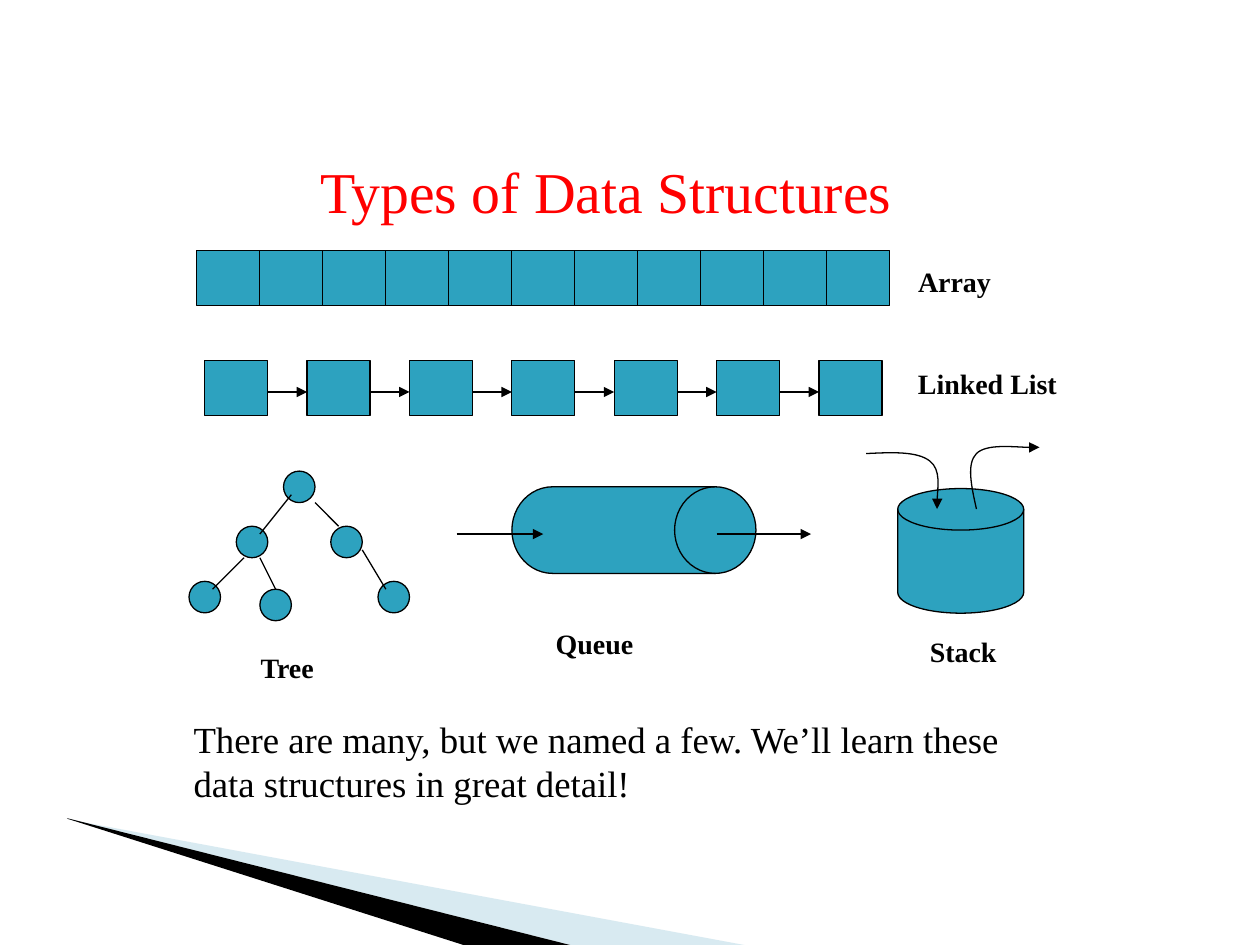
"""Build a slide that shows the common types of data structures."""
import pptx
import pptx.dml.color
import pptx.enum.shapes
import pptx.enum.text
import pptx.oxml
import pptx.oxml.ns
import pptx.util

Pt = pptx.util.Pt
SHAPE = pptx.enum.shapes.MSO_SHAPE
ALIGN = pptx.enum.text.PP_ALIGN
qn = pptx.oxml.ns.qn

BLACK = pptx.dml.color.RGBColor(0x00, 0x00, 0x00)
RED = pptx.dml.color.RGBColor(0xFF, 0x00, 0x00)
TEAL = pptx.dml.color.RGBColor(0x2D, 0xA2, 0xBF)
PALE_BLUE = pptx.dml.color.RGBColor(0x9F, 0xCB, 0xDC)

FONT = "Times New Roman"
CELL_WIDTH, CELL_HEIGHT = 36, 31.5
NODE_SIZE = 18


def add_element(parent, tag, **attributes):
    child = pptx.oxml.parse_xml(f"<{tag} {pptx.oxml.ns.nsdecls('a')}/>")
    for name, value in attributes.items():
        child.set(name, value)
    parent.append(child)
    return child


def set_outline(item, arrow=False):
    item.line.color.rgb = BLACK
    item.line.width = Pt(0.75)
    if arrow:
        add_element(item.element.spPr.get_or_add_ln(), "a:tailEnd", type="triangle")


def add_solid(shapes, kind, left, top, width, height):
    solid = shapes.add_shape(kind, Pt(left), Pt(top), Pt(width), Pt(height))
    solid.shadow.inherit = False
    solid.fill.solid()
    solid.fill.fore_color.rgb = TEAL
    set_outline(solid)


def add_line(shapes, x1, y1, x2, y2, arrow=False):
    line = shapes.add_connector(
        pptx.enum.shapes.MSO_CONNECTOR.STRAIGHT, Pt(x1), Pt(y1), Pt(x2), Pt(y2))
    set_outline(line, arrow)
    add_element(line.element.spPr, "a:effectLst")


def add_outline_shape(shapes, points, close):
    start, *rest = [(Pt(x), Pt(y)) for x, y in points]
    builder = shapes.build_freeform(*start)
    builder.add_line_segments(rest, close=close)
    outline = builder.convert_to_shape()
    outline.shadow.inherit = False
    return outline


def add_wedge(shapes, points, color, opacity=100):
    wedge = add_outline_shape(shapes, points, close=True)
    wedge.fill.solid()
    wedge.fill.fore_color.rgb = color
    wedge.line.fill.background()
    if opacity < 100:
        solid_color = next(wedge.element.spPr.iter(qn("a:srgbClr")))
        add_element(solid_color, "a:alpha", val=str(opacity * 1000))


def add_curved_arrow(shapes, points):
    """Draw an arrow through Bezier points: a start, then triples of control, control, end."""
    curve = add_outline_shape(shapes, points, close=False)
    curve.fill.background()
    set_outline(curve, arrow=True)
    track = next(curve.element.spPr.iter(qn("a:path")))
    segments = track.findall(qn("a:lnTo"))
    for first in range(0, len(segments), 3):
        bezier = add_element(track, "a:cubicBezTo")
        for segment in segments[first:first + 3]:
            bezier.append(segment[0])
            track.remove(segment)


def add_text(shapes, words, left, top, width, height, size,
             color=BLACK, bold=False, align=ALIGN.LEFT, wrap=True):
    box = shapes.add_textbox(Pt(left), Pt(top), Pt(width), Pt(height))
    box.text_frame.word_wrap = wrap
    paragraph = box.text_frame.paragraphs[0]
    paragraph.alignment = align
    run = paragraph.add_run()
    run.text = words
    run.font.name = FONT
    run.font.size = Pt(size)
    run.font.bold = bold
    run.font.color.rgb = color


def add_array(shapes):
    for index in range(11):
        add_solid(shapes, SHAPE.RECTANGLE, 112.5 + index * CELL_WIDTH, 143.2,
                  CELL_WIDTH, CELL_HEIGHT)


def add_linked_list(shapes):
    count, pitch, link_y = 7, 58.5, 224
    for index in range(count):
        left = 117 + index * pitch
        add_solid(shapes, SHAPE.RECTANGLE, left, 206, CELL_WIDTH, CELL_HEIGHT)
        if index < count - 1:
            add_line(shapes, left + CELL_WIDTH, link_y, left + pitch, link_y, arrow=True)


def add_tree(shapes):
    nodes = [(162, 269.2), (135, 300.7), (108, 332.2),
             (189, 300.7), (216, 332.2), (148.5, 336.7)]
    branches = [(166.5, 282.7, 148.5, 305.2), (139.5, 318.7, 121.5, 336.7),
                (180, 287.2, 193.5, 300.7), (207, 314.2, 220.5, 336.7),
                (148.5, 318.7, 157.5, 336.7)]
    for left, top in nodes:
        add_solid(shapes, SHAPE.OVAL, left, top, NODE_SIZE, NODE_SIZE)
    for branch in branches:
        add_line(shapes, *branch)


def add_queue(shapes):
    add_solid(shapes, SHAPE.FLOWCHART_DIRECT_ACCESS_STORAGE, 292.5, 278.2, 139.5, 49.5)
    for start, end in [(261, 310.5), (409.5, 463.5)]:
        add_line(shapes, start, 305.2, end, 305.2, arrow=True)


def add_stack(shapes):
    add_solid(shapes, SHAPE.FLOWCHART_MAGNETIC_DISK, 513, 279.2, 72, 71.2)
    push = [(495, 259.2), (509.8, 258.5), (524.2, 257.8), (531.4, 263.5),
            (537.8, 268.6), (535, 286.6), (535.5, 290.9)]
    pop = [(558, 290.9), (555.1, 277.9), (552.2, 265), (558, 259.2),
           (563.8, 253.4), (588.2, 256.3), (594, 255.6)]
    for points in (push, pop):
        add_curved_arrow(shapes, points)


def main():
    deck = pptx.Presentation()
    deck.slide_width, deck.slide_height = Pt(720), Pt(540)
    shapes = deck.slides.add_slide(deck.slide_layouts[6]).shapes

    add_wedge(shapes, [(39.6, 468.4), (428, 540.5), (328, 540.5), (39.6, 468)],
              PALE_BLUE, opacity=40)
    add_wedge(shapes, [(38.2, 467.5), (328.5, 540.7), (268, 541), (38.9, 468)], BLACK)
    add_text(shapes, "There are many, but we named a few. We’ll learn these "
             "data structures in great detail!", 103.5, 406, 507.6, 57.6, 21)

    for add_structure in (add_array, add_linked_list, add_tree, add_queue, add_stack):
        add_structure(shapes.add_group_shape().shapes)

    labels = [("Array", 517.5, 147.6, 62), ("Linked List", 517.5, 206, 105),
              ("Tree", 141.8, 368, 51), ("Queue", 310.5, 354.7, 66),
              ("Stack", 524.2, 359.2, 58.3)]
    for words, left, top, width in labels:
        add_text(shapes, words, left, top, width, 26.6, 16, bold=True, wrap=False)
    add_text(shapes, "Types of Data Structures", 117, 85.7, 458.6, 46, 33,
             color=RED, align=ALIGN.CENTER)

    deck.save("out.pptx")


if __name__ == "__main__":
    main()
